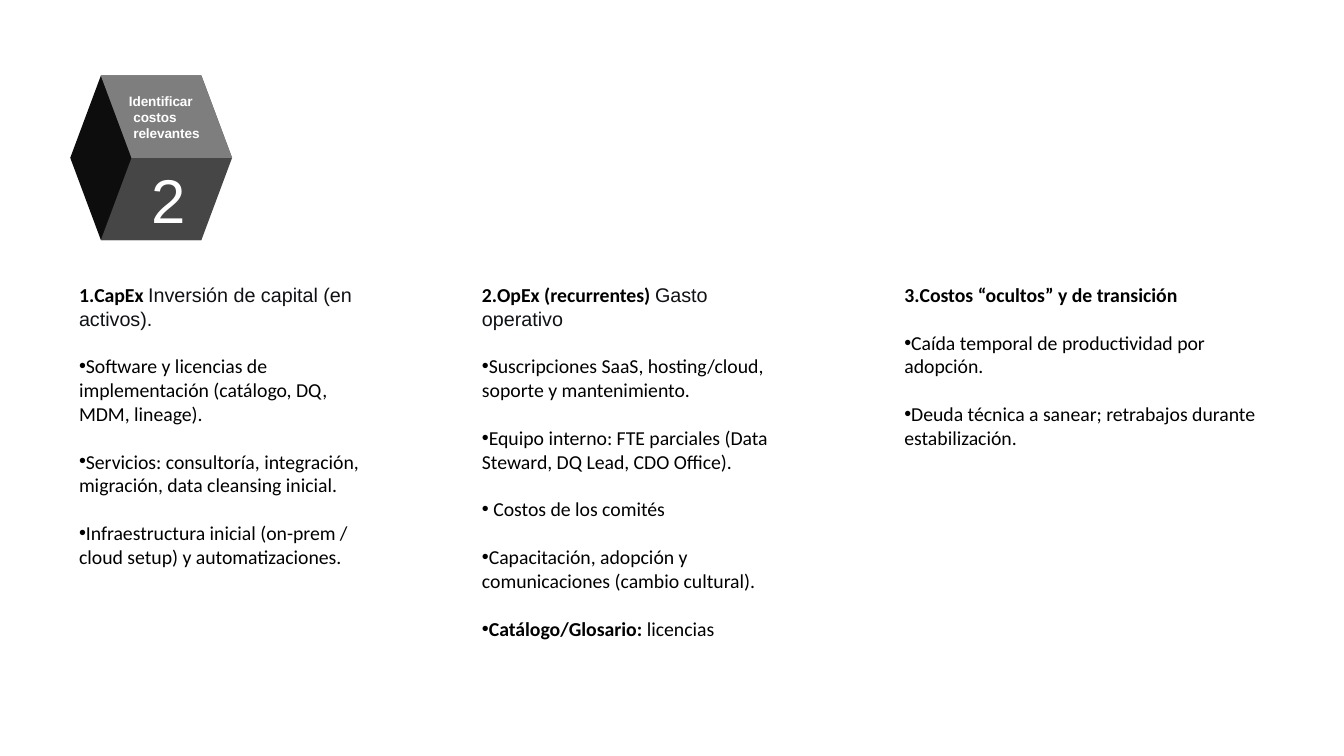
"""Build a slide listing three groups of relevant costs under a numbered cube."""
from lxml import etree
from pptx import Presentation
from pptx.dml.color import RGBColor
from pptx.oxml.ns import qn
from pptx.util import Inches, Pt

BLANK_LAYOUT = 6
BLACK, INK, WHITE = "000000", "0F1115", "FFFFFF"

deck = Presentation()
deck.slide_width, deck.slide_height = Inches(15.11), Inches(8.5)
page = deck.slides.add_slide(deck.slide_layouts[BLANK_LAYOUT])
column, row = deck.slide_width / 100, deck.slide_height / 100


def color(hex_text):
    return RGBColor.from_string(hex_text)


def style(run, size, font, hex_text, bold=False):
    run.font.size, run.font.name, run.font.bold = Pt(size), font, bold
    run.font.color.rgb = color(hex_text)


cube = page.shapes.add_group_shape()
edge, face, half = 2.28, 7.48, 10.88
left, top = 5.23, 10
x = [left, left + edge, left + 2 * edge, left + edge + face, left + 2 * edge + face]
y = [top, top + half, top + 2 * half]
faces = [
    ("0D0D0D", [(x[3], y[0]), (x[1], y[0]), (x[0], y[1]), (x[1], y[2]), (x[3], y[2]), (x[2], y[1])]),
    ("464646", [(x[3], y[0]), (x[1], y[0]), (x[2], y[1]), (x[1], y[2]), (x[3], y[2]), (x[4], y[1])]),
    ("7E7E7E", [(x[3], y[0]), (x[1], y[0]), (x[2], y[1]), (x[4], y[1])]),
]
for fill, corners in faces:
    points = [(round(across * column), round(down * row)) for across, down in corners]
    builder = cube.shapes.build_freeform(*points[0])
    builder.add_line_segments(points[1:])
    side = builder.convert_to_shape()
    side.shadow.inherit = False
    side.fill.solid()
    side.fill.fore_color.rgb = color(fill)
    side.line.fill.background()

cube_texts = [
    ("2", 11.18, 21.29, 3.84, 10.12, 50, False, -50, 0.01, 0),
    ("Identificar costos relevantes", 9.53, 12.12, 5.82, 6.71, 11, True, -10, 0.06, -0.05),
]
for text, across, down, width, height, size, bold, tracking, margin, indent in cube_texts:
    box = cube.shapes.add_textbox(
        round(across * column), round(down * row), round(width * column), round(height * row))
    frame = box.text_frame
    frame.word_wrap = True
    frame.margin_left = frame.margin_right = frame.margin_bottom = 0
    frame.margin_top = Inches(0.01)
    frame.text = text
    para = frame.paragraphs[0]
    para.space_before = Pt(1.1)
    properties = para._p.get_or_add_pPr()
    properties.set("marL", str(Inches(margin)))
    properties.set("indent", str(Inches(indent)))
    run = para.runs[0]
    style(run, size, "Arial", WHITE, bold)
    run.font._element.set("spc", str(tracking))

BOLD, PLAIN, NOTE = ("Calibri", BLACK, True), ("Calibri", BLACK, False), ("Arial", INK, False)
cost_groups = [
    (5.23, 22.77, 45.53, [
        [("CapEx ", BOLD), ("Inversión de capital (en activos).", NOTE)],
        [("Software y licencias de implementación (catálogo, DQ, MDM, lineage).", PLAIN)],
        [("Servicios: consultoría, integración, migración, data cleansing inicial.", PLAIN)],
        [("Infraestructura inicial (on-prem / cloud setup) y automatizaciones.", PLAIN)],
    ]),
    (35.21, 24.22, 48.71, [
        [("OpEx (recurrentes) ", BOLD), ("Gasto operativo ", NOTE)],
        [("Suscripciones SaaS, hosting/cloud, soporte y mantenimiento.", PLAIN)],
        [("Equipo interno: FTE parciales (Data Steward, DQ Lead, CDO Office).", PLAIN)],
        [(" Costos de los comités", PLAIN)],
        [("Capacitación, adopción y comunicaciones (cambio cultural).", PLAIN)],
        [("Catálogo/Glosario:", BOLD), (" licencias", PLAIN)],
    ]),
    (66.64, 28.13, 23.41, [
        [("Costos “ocultos” y de transición", BOLD)],
        [("Caída temporal de productividad por adopción.", PLAIN)],
        [("Deuda técnica a sanear; retrabajos durante estabilización.", PLAIN)],
    ]),
]
for number, (across, width, height, items) in enumerate(cost_groups, start=1):
    box = page.shapes.add_textbox(
        round(across * column), round(36.82 * row), round(width * column), round(height * row))
    frame = box.text_frame
    frame.word_wrap = True
    for index, item in enumerate(items):
        para = frame.add_paragraph() if index else frame.paragraphs[0]
        for text, (font, ink, bold) in item:
            run = para.add_run()
            run.text = text
            style(run, 16, font, ink, bold)
        if index:
            para.space_before = Pt(19.5)
        properties = para._p.get_or_add_pPr()
        properties.set("marL", "0")
        properties.set("indent", "0")
        if index:
            etree.SubElement(properties, qn("a:buFont"), typeface="Arial")
            etree.SubElement(properties, qn("a:buChar"), char="•")
        else:
            etree.SubElement(properties, qn("a:buAutoNum"), type="arabicPeriod", startAt=str(number))

deck.save("out.pptx")
